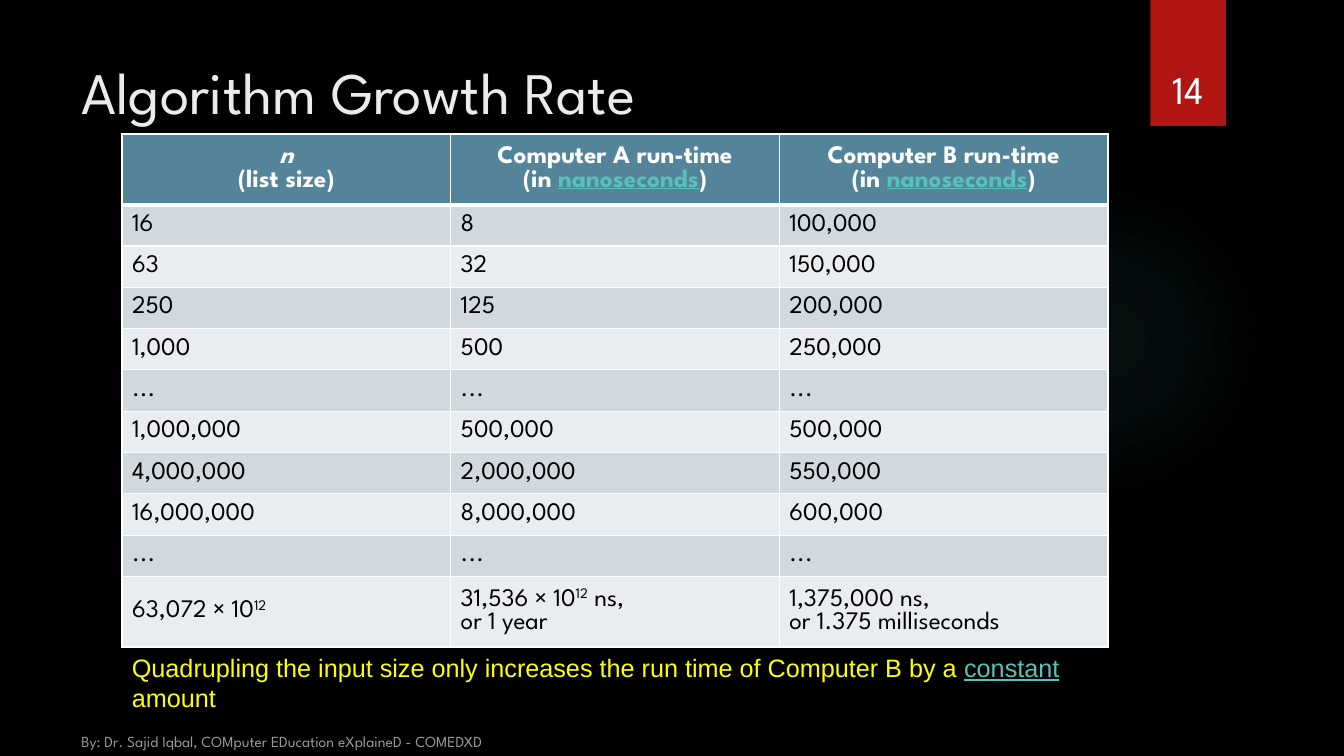
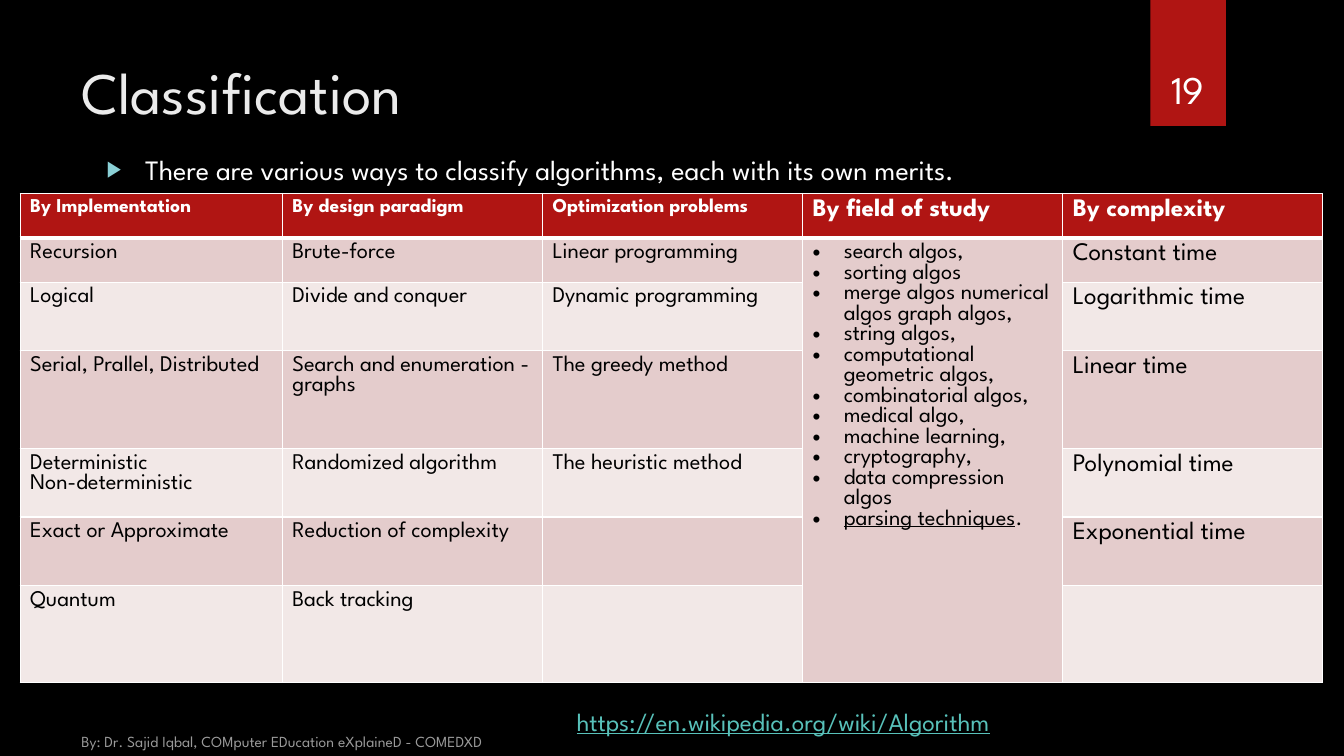
from lxml import etree
from pptx import Presentation, util as u
from pptx.dml.color import RGBColor
from pptx.enum import shapes, text
from pptx.oxml import parse_xml
from pptx.oxml.ns import nsdecls, qn

BLACK = RGBColor(0x00, 0x00, 0x00)
WHITE = RGBColor(0xFF, 0xFF, 0xFF)
PALE = RGBColor(0xEB, 0xEB, 0xEB)
GREY = RGBColor(0x99, 0x99, 0x99)
RED = RGBColor(0xB0, 0x15, 0x13)
BLUE = RGBColor(0x54, 0x84, 0x9A)
YELLOW = RGBColor(0xFF, 0xFF, 0x00)
LINK = RGBColor(0x58, 0xC1, 0xBA)
GLOW = RGBColor(0x50, 0xB9, 0xC1)
MARKER = RGBColor(0x8A, 0xD0, 0xD6)
BLUE_BANDS = RGBColor(0xD1, 0xD9, 0xDE), RGBColor(0xE9, 0xED, 0xEF)
RED_BANDS = RGBColor(0xE4, 0xCC, 0xCC), RGBColor(0xF2, 0xE8, 0xE7)

FONT = "League Spartan"
TOP, MIDDLE, BOTTOM = (text.MSO_ANCHOR.TOP, text.MSO_ANCHOR.MIDDLE,
                       text.MSO_ANCHOR.BOTTOM)
CENTER = text.PP_ALIGN.CENTER
LINKED = {"color": LINK, "underline": True}
RAISED = {"baseline": "30000"}


def write(frame, lines, look, align=None, bullet=None):
    """Fill a frame; a line is a string or a list of (words, changes)."""
    for index, line in enumerate(lines):
        para = frame.paragraphs[0] if index == 0 else frame.add_paragraph()
        para.alignment = align
        if bullet:
            sign, indent, color, share = bullet
            props = para._p.get_or_add_pPr()
            props.set("marL", str(u.Inches(indent)))
            props.set("indent", str(-u.Inches(indent)))
            tint = etree.SubElement(props, qn("a:buClr"))
            etree.SubElement(tint, qn("a:srgbClr"), val=str(color))
            etree.SubElement(props, qn("a:buSzPct"), val=str(share * 1000))
            etree.SubElement(props, qn("a:buFont"), typeface="Arial")
            etree.SubElement(props, qn("a:buChar"), char=sign)
        for words, changes in [(line, {})] if isinstance(line, str) else line:
            span = para.add_run()
            span.text = words
            for name, value in {"name": FONT, **look, **changes}.items():
                if name == "color":
                    span.font.color.rgb = value
                elif name == "baseline":
                    span._r.get_or_add_rPr().set(name, value)
                else:
                    setattr(span.font, name, value)


def add_grid(page, left, top, widths, heights, rows, head, bands, anchor, style):
    """Add a ruled table; style(row, column) gives look, align and bullet."""
    grid = page.shapes.add_table(
        len(heights), len(widths), u.Inches(left), u.Inches(top),
        u.Inches(sum(widths)), u.Inches(sum(heights))).table
    grid.horz_banding = False
    for column, width in zip(grid.columns, widths):
        column.width = u.Inches(width)
    for r, (height, row) in enumerate(zip(heights, rows)):
        grid.rows[r].height = u.Inches(height)
        for c, lines in enumerate(row):
            cell = grid.cell(r, c)
            props = cell._tc.get_or_add_tcPr()
            for side in "LRTB":
                thick = (r, side) in ((0, "B"), (1, "T"))
                props.append(parse_xml(
                    f'<a:ln{side} {nsdecls("a")} w="{u.Pt(3 if thick else 1)}">'
                    f'<a:solidFill><a:srgbClr val="{WHITE}"/></a:solidFill>'
                    f'</a:ln{side}>'))
            cell.fill.solid()
            cell.fill.fore_color.rgb = bands[(r - 1) % 2] if r else head
            cell.vertical_anchor = anchor
            lines = lines.split("\n") if isinstance(lines, str) else lines
            if lines != [""]:
                write(cell.text_frame, lines, *style(r, c))
    return grid


deck = Presentation()
deck.slide_width, deck.slide_height = u.Inches(13.33), u.Inches(7.5)
backdrop = deck.slide_master.background.fill
backdrop.solid()
backdrop.fore_color.rgb = BLACK

# Text of each page: place, anchor, lines, look, alignment, bullet
footer = "By: Dr. Sajid Iqbal, COMputer EDucation eXplaineD - COMEDXD"
own_text = {
    ("Algorithm Growth Rate", "14"): [
        ((1.21, 6.42, 9.78, 0.71), TOP,
         [[("Quadrupling the input size only increases the run time of "
            "Computer B by a ", {}), ("constant", LINKED), (" amount", {})]],
         {"name": "Arial", "size": u.Pt(18), "color": YELLOW})],
    ("Classification", "19"): [
        ((0.96, 1.46, 10.59, 0.45), TOP,
         ["There are various ways to classify algorithms, "
          "each with its own merits."],
         {"size": u.Pt(20), "color": WHITE}, None, ("▶", 0.38, MARKER, 80)),
        ((5.62, 6.96, 4.97, 0.4), TOP,
         ["https://en.wikipedia.org/wiki/Algorithm"],
         {"size": u.Pt(18), **LINKED})],
}

for (title, number), extras in own_text.items():
    page = deck.slides.add_slide(deck.slide_layouts[6])

    # Soft glow and red number tab
    glow = page.shapes.add_shape(
        shapes.MSO_SHAPE.OVAL, *map(u.Inches, (9.41, 1.83, 3.08, 3.08)))
    tab = page.shapes.add_shape(
        shapes.MSO_SHAPE.RECTANGLE, *map(u.Inches, (11.41, 0, 0.75, 1.25)))
    for shape in (glow, tab):
        shape.shadow.inherit = False
        shape.line.fill.background()
    stops = "".join(
        f'<a:gs pos="{place}000"><a:srgbClr val="{GLOW}">'
        f'<a:alpha val="{alpha}000"/></a:srgbClr></a:gs>'
        for place, alpha in ((0, 7), (36, 6), (69, 0)))
    glow._element.spPr.find(qn("a:prstGeom")).addnext(parse_xml(
        f'<a:gradFill {nsdecls("a")}><a:gsLst>{stops}</a:gsLst>'
        '<a:path path="circle"><a:fillToRect l="50000" t="50000" '
        'r="50000" b="50000"/></a:path></a:gradFill>'))
    tab.fill.solid()
    tab.fill.fore_color.rgb = RED
    tab._element.spPr.find(qn("a:effectLst")).append(parse_xml(
        f'<a:outerShdw {nsdecls("a")} blurRad="{u.Pt(3)}" dist="{u.Pt(2)}" '
        f'dir="5400000"><a:srgbClr val="{BLACK}"><a:alpha val="45000"/>'
        '</a:srgbClr></a:outerShdw>'))

    # Title, footer, page number, then the page's own text
    for place, anchor, *content in [
            ((0.71, 0.5, 10.29, 0.84), TOP, [title],
             {"size": u.Pt(42), "color": PALE}),
            ((0.71, 7.17, 4.22, 0.33), BOTTOM, [footer],
             {"size": u.Pt(11), "color": GREY}),
            ((11.32, 0.32, 0.92, 0.84), BOTTOM, [number],
             {"size": u.Pt(28), "color": WHITE}, CENTER),
            *extras]:
        box = page.shapes.add_textbox(*map(u.Inches, place))
        box.text_frame.word_wrap = True
        box.text_frame.vertical_anchor = anchor
        write(box.text_frame, *content)

growth_page, classes_page = deck.slides

# Run-time table
growth_rows = [
    [[[("n", {"italic": True})], "(list size)"]]
    + [[f"Computer {name} run-time",
        [("(in ", {}), ("nanoseconds", LINKED), (")", {})]] for name in "AB"],
    ["16", "8", "100,000"],
    ["63", "32", "150,000"],
    ["250", "125", "200,000"],
    ["1,000", "500", "250,000"],
    ["..."] * 3,
    ["1,000,000", "500,000", "500,000"],
    ["4,000,000", "2,000,000", "550,000"],
    ["16,000,000", "8,000,000", "600,000"],
    ["..."] * 3,
    [[[("63,072 × 10", {}), ("12", RAISED)]],
     [[("31,536 × 10", {}), ("12", RAISED), (" ns,", {})], "or 1 year"],
     "1,375,000 ns,\nor 1.375 milliseconds"],
]
add_grid(
    growth_page, 1.21, 1.33, [3.26] * 3, [0.56] + [0.41] * 9 + [0.56],
    growth_rows, BLUE, BLUE_BANDS, MIDDLE,
    lambda r, c: ({"size": u.Pt(18), "bold": r == 0,
                   "color": BLACK if r else WHITE}, None if r else CENTER))

# Classification table, with one tall cell for the fields of study
FIELD = 3
fields = [
    "search algos,", "sorting algos", "merge algos numerical algos graph algos,",
    "string algos,", "computational geometric algos,", "combinatorial algos,",
    "medical algo,", "machine learning,", "cryptography,",
    "data compression algos",
    [("parsing techniques", {"underline": True}), (".", {})]]
class_rows = [
    ["By Implementation", "By design paradigm", "Optimization problems",
     "By field of study", "By complexity"],
    ["Recursion", "Brute-force", "Linear programming", fields, "Constant time"],
    ["Logical", "Divide and conquer", "Dynamic programming", "",
     "Logarithmic time"],
    ["Serial, Prallel, Distributed", "Search and enumeration - graphs",
     "The greedy method", "", "Linear time"],
    ["Deterministic\nNon-deterministic", "Randomized algorithm",
     "The heuristic method", "", "Polynomial time"],
    ["Exact or Approximate", "Reduction of complexity", "", "",
     "Exponential time"],
    ["Quantum", "Back tracking", "", "", ""],
]


def class_style(r, c):
    size = 18 if c > FIELD or (r, c) == (0, FIELD) else 16 if r else 14
    look = {"size": u.Pt(size), "bold": r == 0, "color": BLACK if r else WHITE}
    return look, None, ("•", 0.31, BLACK, 100) if r and c == FIELD else None


classes = add_grid(
    classes_page, 0.2, 1.92, [2.6] + [2.58] * 4,
    [0.44, 0.44, 0.68, 0.97, 0.68, 0.68, 0.96],
    class_rows, RED, RED_BANDS, TOP, class_style)
classes.cell(1, FIELD).merge(classes.cell(len(class_rows) - 1, FIELD))

deck.save("out.pptx")
